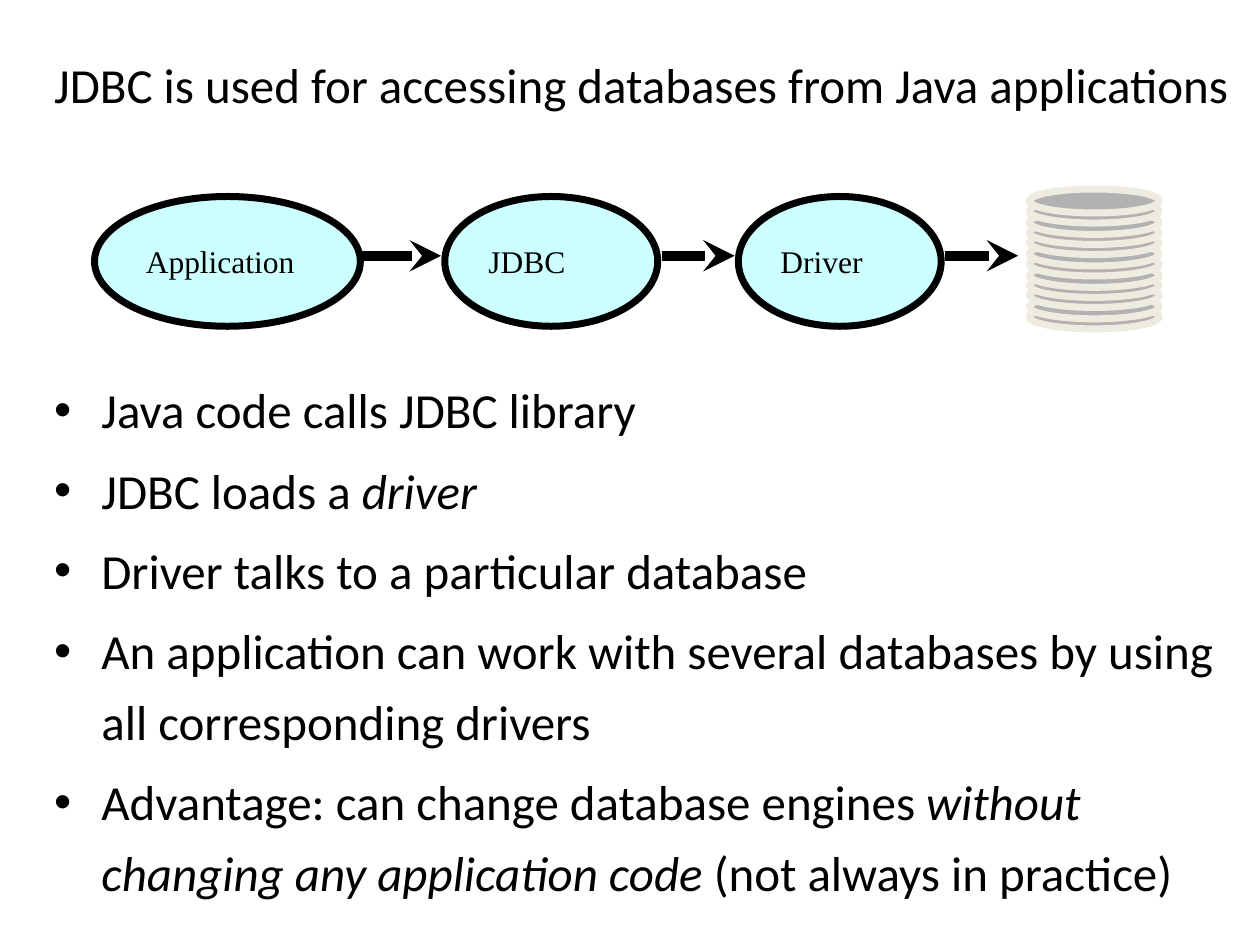
import pptx
import pptx.dml.color
import pptx.enum.shapes
import pptx.enum.text
import pptx.oxml
import pptx.oxml.ns
import pptx.util

BLACK = pptx.dml.color.RGBColor(0x00, 0x00, 0x00)
CYAN = pptx.dml.color.RGBColor(0xCC, 0xFF, 0xFF)
GRAY = pptx.dml.color.RGBColor(0xB2, 0xB2, 0xB2)
CREAM = pptx.dml.color.RGBColor(0xEE, 0xEC, 0xE1)

EMU_PER_PX = 9144  # 100 px to the inch
LEFT = pptx.enum.text.PP_ALIGN.LEFT
MIDDLE = pptx.enum.text.MSO_ANCHOR.MIDDLE
TOP = pptx.enum.text.MSO_ANCHOR.TOP


def px(length):
    return pptx.util.Emu(length * EMU_PER_PX)


def write(para, text, font="Calibri", size=28, color=BLACK, italic=False):
    span = para.add_run()
    span.text = text
    span.font.name = font
    span.font.size = pptx.util.Pt(size)
    span.font.color.rgb = color
    span.font.italic = italic


class SlideBuilder:
    body_font = "Calibri"
    label_font = "Times New Roman"
    body_size = 28
    label_size = 18
    outline = 4
    arrow_width = 6

    def __init__(self, slide):
        self.slide = slide

    def place(self, box, left, top, width, height, anchor):
        box.left, box.top = px(left), px(top)
        box.width, box.height = px(width), px(height)
        frame = box.text_frame
        frame.word_wrap = True
        frame.auto_size = pptx.enum.text.MSO_AUTO_SIZE.NONE
        frame.vertical_anchor = anchor
        return frame

    def title(self, text, left, top, width, height):
        frame = self.place(self.slide.shapes.title, left, top, width, height, MIDDLE)
        para = frame.paragraphs[0]
        para.alignment = LEFT
        write(para, text, font=self.body_font, size=self.body_size)

    def bullets(self, items, left, top, width, height):
        """Each item is a list of (text, italic) pairs."""
        frame = self.place(self.slide.placeholders[1], left, top, width, height, TOP)
        for index, item in enumerate(items):
            para = frame.add_paragraph() if index else frame.paragraphs[0]
            para.line_spacing = 1.2
            for text, italic in item:
                write(para, text, font=self.body_font, size=self.body_size, italic=italic)

    def ellipse(self, left, top, width, height, fill, line, shapes=None):
        shapes = shapes or self.slide.shapes
        shape = shapes.add_shape(pptx.enum.shapes.MSO_SHAPE.OVAL,
                                 px(left), px(top), px(width), px(height))
        shape.shadow.inherit = False
        shape.fill.solid()
        shape.fill.fore_color.rgb = fill
        shape.line.color.rgb = line
        shape.line.width = pptx.util.Pt(self.outline)
        return shape

    def stage(self, text, left, top, width, height):
        shape = self.ellipse(left, top, width, height, CYAN, BLACK)
        shape.text_frame.vertical_anchor = MIDDLE
        para = shape.text_frame.paragraphs[0]
        para.alignment = LEFT
        write(para, text, font=self.label_font, size=self.label_size)

    def disk_stack(self, left, top, width, height, count, stack_height):
        group = self.slide.shapes.add_group_shape()
        for index in reversed(range(count)):
            offset = round(index * stack_height / (count - 1))
            self.ellipse(left, top + offset, width, height, GRAY, CREAM, group.shapes)

    def arrow(self, start, end, y):
        connector = self.slide.shapes.add_connector(
            pptx.enum.shapes.MSO_CONNECTOR.STRAIGHT, px(start), px(y), px(end), px(y))
        connector.line.color.rgb = BLACK
        connector.line.width = pptx.util.Pt(self.arrow_width)
        head = pptx.oxml.parse_xml(
            '<a:tailEnd %s type="stealth"/>' % pptx.oxml.ns.nsdecls("a"))
        connector.line._get_or_add_ln().append(head)
        connector._element.spPr.append(pptx.oxml.parse_xml(
            "<a:effectLst %s/>" % pptx.oxml.ns.nsdecls("a")))


def main():
    deck = pptx.Presentation()
    deck.slide_width, deck.slide_height = px(1000), px(750)
    page = SlideBuilder(deck.slides.add_slide(deck.slide_layouts[1]))

    # Title
    page.title("JDBC is used for accessing databases from Java applications",
               33, 25, 967, 83)

    # Flow from application to database
    for text, left, width in [("Application", 75, 211), ("JDBC", 353, 169),
                              ("Driver", 586, 161)]:
        page.stage(text, left, 156, width, 103)
    page.disk_stack(817, 150, 103, 19, count=12, stack_height=92)
    for start, end in [(283, 350), (525, 583), (750, 808)]:
        page.arrow(start, end, 203)

    # Explanation
    page.bullets([
        [("Java code calls JDBC library", False)],
        [("JDBC loads a ", False), ("driver", True)],
        [("Driver talks to a particular database", False)],
        [("An application can work with several databases by using "
          "all corresponding drivers", False)],
        [("Advantage: can change database engines ", False),
         ("without changing any application code", True),
         (" (not always in practice)", False)],
    ], 33, 287, 942, 395)

    deck.save("out.pptx")


if __name__ == "__main__":
    main()
